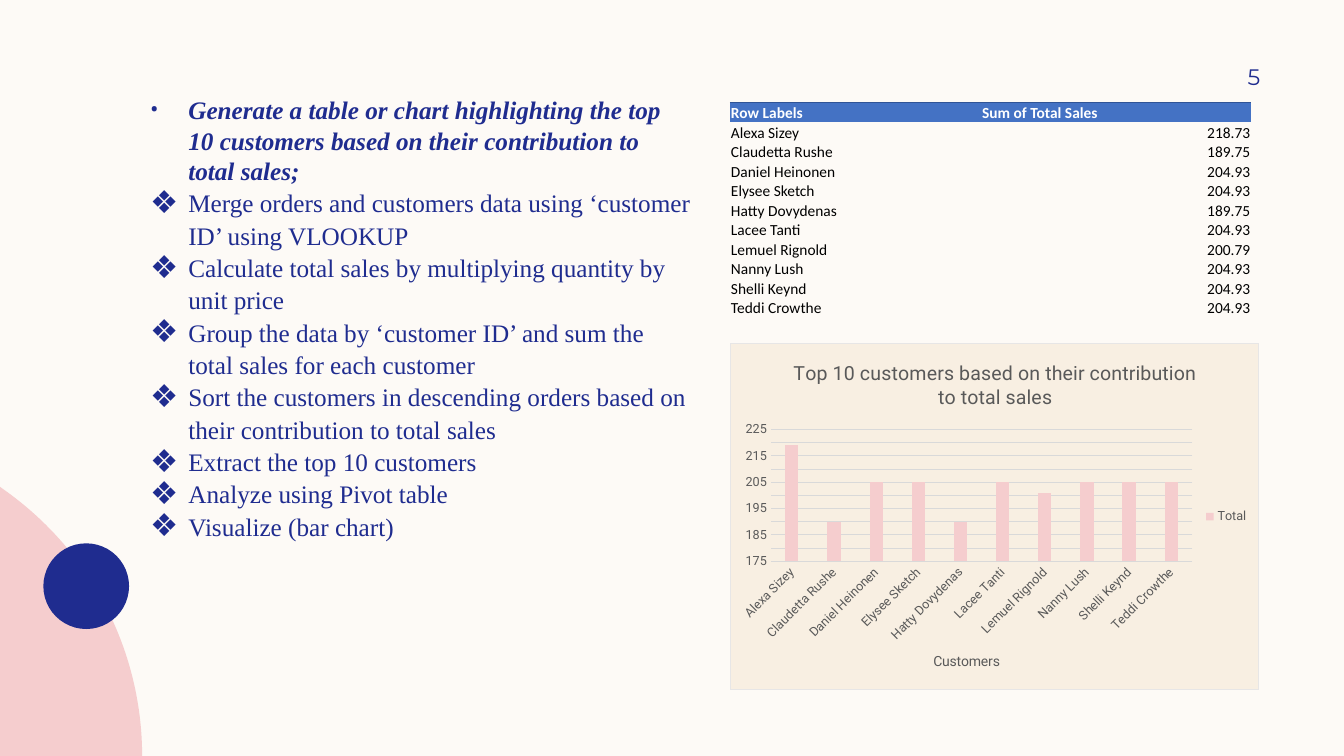
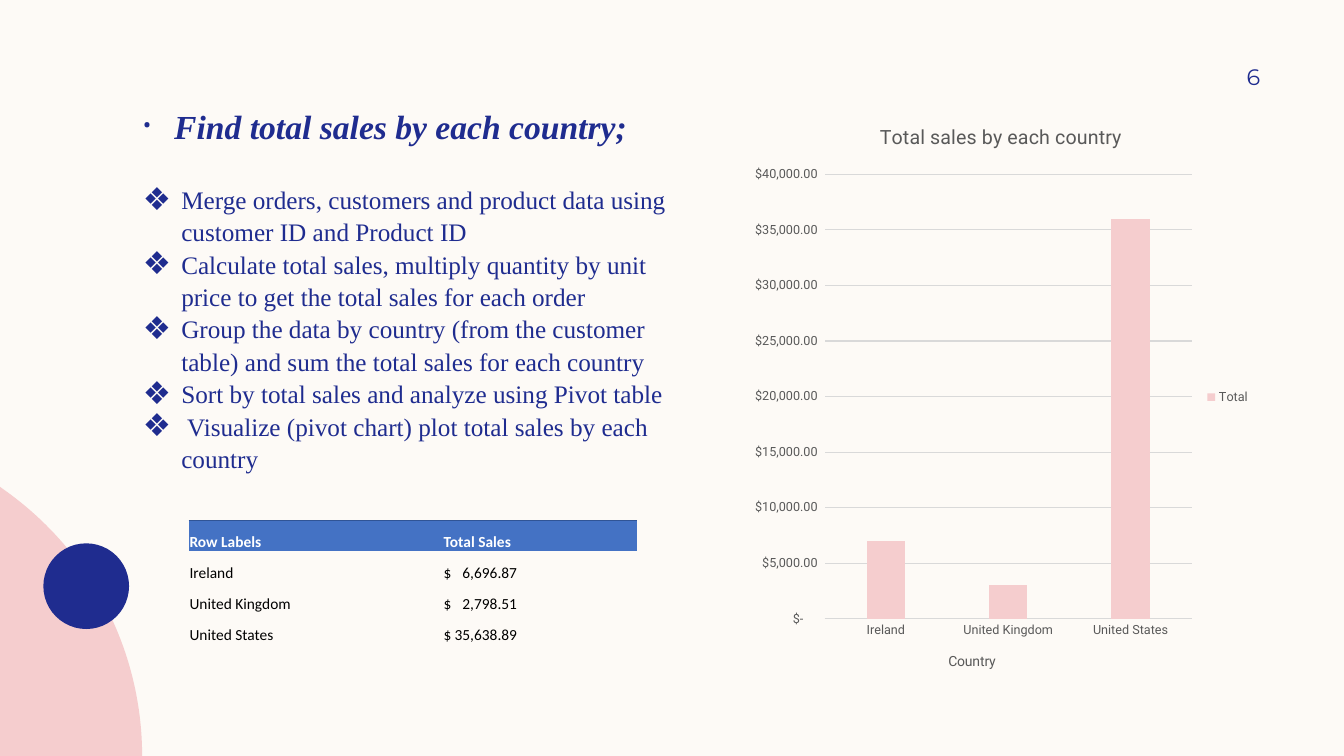
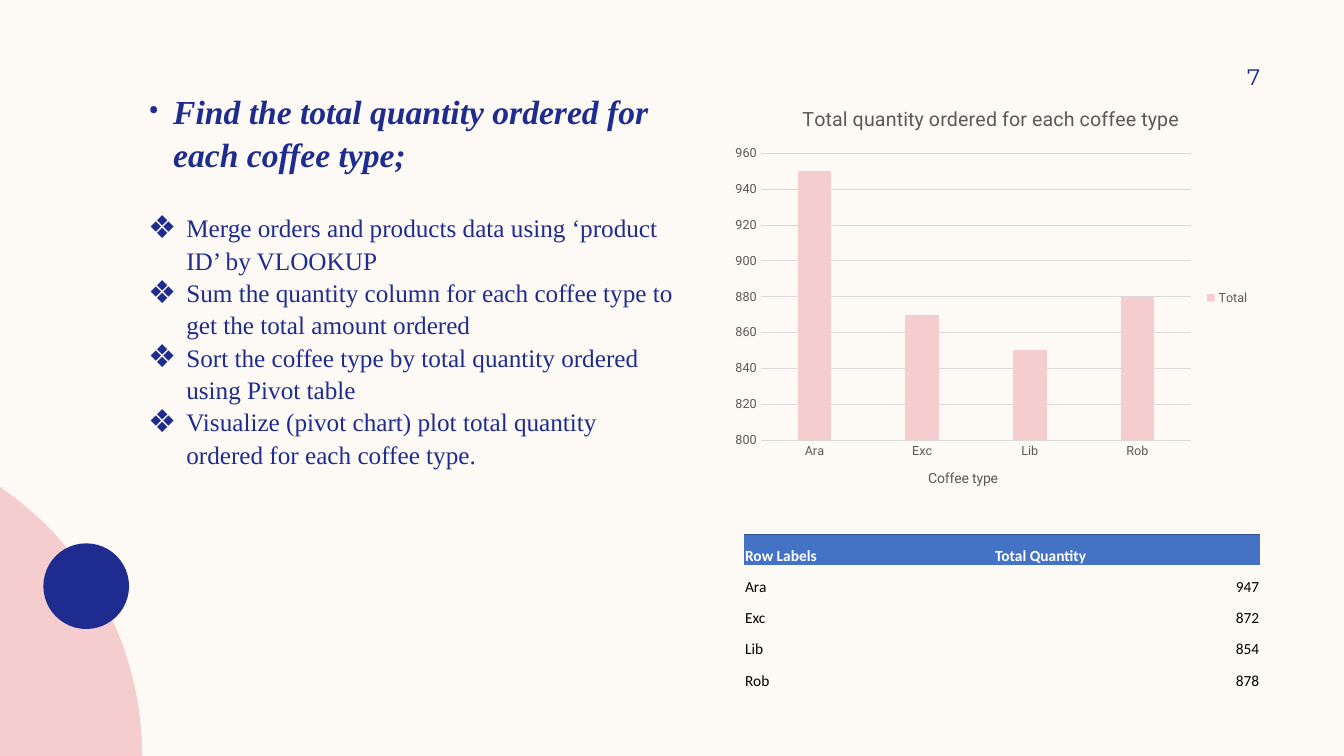
from math import asin, cos, sin

from lxml.etree import SubElement
from pptx import Presentation
from pptx.chart.data import CategoryChartData
from pptx.dml.color import RGBColor
from pptx.enum.chart import XL_CHART_TYPE, XL_LEGEND_POSITION, XL_TICK_MARK
from pptx.enum.shapes import MSO_SHAPE
from pptx.enum.text import MSO_ANCHOR, PP_ALIGN
from pptx.oxml.ns import qn
from pptx.util import Inches, Pt

HUES = {
    "cream": "FDFAF6", "sand": "F8EFE2", "edge": "E7E6E6", "pink": "F5CDCE",
    "navy": "1F2C8F", "grey": "595959", "grid": "D9D9D9", "head": "4472C4",
    "rule": "305496", "white": "FFFFFF", "black": "000000",
}
SERIF, SANS, CELL, PAGE = "Times New Roman", "Roboto", "Calibri", "Montserrat"
PLAIN_STYLE = "{2D5ABB26-0587-4C30-8999-92F81FD0307C}"
MONEY = '_("$"* #,##0.00_);_("$"* \\(#,##0.00\\);_("$"* "-"??_);_(@_)'


def hue(name):
    return RGBColor.from_string(HUES[name])


def sub(node, tag, **attrs):
    return SubElement(node, qn(tag), {k: str(v) for k, v in attrs.items()})


def style(font, face, size, color, bold=False, slant=False):
    font.name, font.size = face, Pt(size)
    font.bold, font.italic = bold, slant
    font.color.rgb = hue(color)


def pin(node, index, frame, spot):
    """Fix a chart part at a place on the slide, given in inches."""
    old = node.find(qn("c:layout"))
    if old is not None:
        node.remove(old)
    layout = sub(node, "c:layout")
    node.insert(index, layout)
    manual = sub(layout, "c:manualLayout")
    if len(spot) == 4:
        sub(manual, "c:layoutTarget", val="inner")
    left, top, wide, high = frame
    for axis in "xy":
        sub(manual, f"c:{axis}Mode", val="edge")
    parts = [(spot[0] - left) / wide, (spot[1] - top) / high]
    if len(spot) == 4:
        parts += [spot[2] / wide, spot[3] / high]
    for axis, part in zip("xywh", parts):
        sub(manual, f"c:{axis}", val=round(part, 4))


class Deck:
    def __init__(self):
        self.show = Presentation()
        self.show.slide_width = Inches(13.33)
        self.show.slide_height = Inches(7.5)
        self.slide = None

    def start(self, page):
        """Add a slide with background, corner shapes and page number."""
        self.slide = self.show.slides.add_slide(self.show.slide_layouts[6])
        fill = self.slide.background.fill
        fill.solid()
        fill.fore_color.rgb = hue("cream")
        self.corner()
        dot = self.slide.shapes.add_shape(
            MSO_SHAPE.OVAL, Inches(0.43), Inches(5.39), Inches(0.85), Inches(0.85))
        self.paint(dot, "navy")
        frame = self.box(11.42, 0.5, 1.08, 0.52, (0.1, 0.05, 0, 0.05))
        frame.vertical_anchor = MSO_ANCHOR.MIDDLE
        para = frame.paragraphs[0]
        para.text = page
        para.alignment = PP_ALIGN.RIGHT
        style(para.runs[0].font, PAGE, 16, "navy")

    def corner(self):
        """Draw the part of a large disc that shows at the lower left."""
        radius, center, steps = 3.23, -1.82, 48
        sweep = asin(2.67 / radius)
        turns = [sweep * (1 - i / steps) for i in range(steps + 1)]
        arc = [(max(0, center + radius * cos(t)), 7.5 - radius * sin(t)) for t in turns]
        form = self.slide.shapes.build_freeform(0, Inches(7.5))
        form.add_line_segments([(Inches(x), Inches(y)) for x, y in arc])
        self.paint(form.convert_to_shape(), "pink")

    def paint(self, shape, color):
        shape.shadow.inherit = False
        shape.fill.solid()
        shape.fill.fore_color.rgb = hue(color)
        shape.line.fill.background()

    def box(self, left, top, wide, high, pads):
        shape = self.slide.shapes.add_textbox(
            Inches(left), Inches(top), Inches(wide), Inches(high))
        frame = shape.text_frame
        frame.word_wrap = True
        (frame.margin_left, frame.margin_top,
         frame.margin_right, frame.margin_bottom) = map(Inches, pads)
        return frame

    def steps(self, spot, title, items, size=24, indent=0.25, gap=26, lead=1.07, dot=100):
        """Write a bold heading and its list of steps."""
        frame = self.box(*spot, (0.1, 0, 0.1, 0))
        for i, text in enumerate([title, *items]):
            first = i == 0
            para = frame.paragraphs[0] if first else frame.add_paragraph()
            para.text = text
            para.line_spacing = lead if first else 1.07
            para.space_after = Pt(gap if first else 0)
            style(para.runs[0].font, SERIF, size if first else 18, "navy", first, first)
            inset = Inches(indent if first else 0.38)
            props = para._p.get_or_add_pPr()
            props.set("marL", str(inset))
            props.set("indent", str(-inset))
            sub(props, "a:buSzPct", val=(dot if first else 125) * 1000)
            if first:
                sub(props, "a:buFont", typeface=SANS)
            sub(props, "a:buChar", char="•" if first else "❖")

    def table(self, left, top, cols, high, rows, align=PP_ALIGN.RIGHT, pad=0.01):
        shape = self.slide.shapes.add_table(
            len(rows), 2, Inches(left), Inches(top),
            Inches(sum(cols)), Inches(high * len(rows)))
        grid = shape.table
        grid._tbl.tblPr.find(qn("a:tableStyleId")).text = PLAIN_STYLE
        for col, wide in zip(grid.columns, cols):
            col.width = Inches(wide)
        for r, row in enumerate(rows):
            grid.rows[r].height = Inches(high)
            for c, text in enumerate(row):
                self.cell(grid.cell(r, c), text, r == 0, pad if c else 0.01)
                if r and c:
                    para = grid.cell(r, c).text_frame.paragraphs[0]
                    para.alignment = align
                    if "\t" in text:
                        tabs = sub(para._p.get_or_add_pPr(), "a:tabLst")
                        sub(tabs, "a:tab", pos=Inches(0.73), algn="r")

    def cell(self, cell, text, head, pad):
        cell.text_frame.text = text
        cell.vertical_anchor = MSO_ANCHOR.BOTTOM
        cell.margin_left = Inches(pad)
        cell.margin_top = cell.margin_right = Inches(0.01)
        cell.margin_bottom = 0
        for run in cell.text_frame.paragraphs[0].runs:
            style(run.font, CELL, 11, "white" if head else "black", head)
        if not head:
            cell.fill.background()
            return
        cell.fill.solid()
        cell.fill.fore_color.rgb = hue("head")
        props = cell._tc.get_or_add_tcPr()
        line = sub(props, "a:lnT", w=Pt(1))
        sub(sub(line, "a:solidFill"), "a:srgbClr", val=HUES["rule"])
        props.insert(0, line)

    def chart(self, spot, title, label, data, digits, scale, plot, places,
              form="General", back=None, tilt=False):
        """Draw rounded columns; places holds the corners of title and axis label."""
        source = CategoryChartData(number_format=form)
        source.categories = [name for name, _ in data]
        source.add_series("Total", [int(round(value, digits)) for _, value in data])
        chart = self.slide.shapes.add_chart(
            XL_CHART_TYPE.COLUMN_CLUSTERED, *map(Inches, spot), source).chart
        style(chart.font, SANS, 10, "black")
        chart.has_title = chart.has_legend = True
        chart.legend.position = XL_LEGEND_POSITION.RIGHT
        chart.legend.include_in_layout = False
        style(chart.legend.font, SANS, 9, "grey")

        bars = chart.plots[0]
        bars.gap_width, bars.overlap, bars.vary_by_categories = 219, -27, False
        fill = bars.series[0].format.fill
        fill.solid()
        fill.fore_color.rgb = hue("pink")

        cats, vals = chart.category_axis, chart.value_axis
        for axis in (cats, vals):
            axis.major_tick_mark = axis.minor_tick_mark = XL_TICK_MARK.NONE
            style(axis.tick_labels.font, SANS, 9, "grey")
        vals.minimum_scale, vals.maximum_scale, vals.major_unit = scale
        vals.tick_labels.number_format = form
        vals.tick_labels.number_format_is_linked = False
        vals.format.line.fill.background()
        for line in (cats.format.line, vals.major_gridlines.format.line):
            line.color.rgb, line.width = hue("grid"), Pt(0.75)
        if tilt:
            body = cats._element.find(qn("c:txPr")).find(qn("a:bodyPr"))
            body.set("rot", "-2700000")
            body.set("vert", "horz")

        cats.has_title = True
        heads = (chart.chart_title, title, 14), (cats.axis_title, label, 10)
        for (part, text, size), place in zip(heads, places):
            part.text_frame.text = text
            style(part.text_frame.paragraphs[0].runs[0].font, SANS, size, "grey")
            pin(part._element, 1, spot, place)
        space = chart._chartSpace
        pin(space.chart.plotArea, 0, spot, plot)
        if back:
            props = sub(space, "c:spPr")
            space.find(qn("c:txPr")).addprevious(props)
            inside, border = back
            sub(sub(props, "a:solidFill"), "a:srgbClr", val=HUES[inside])
            line = sub(props, "a:ln", w=Pt(0.75))
            sub(sub(line, "a:solidFill"), "a:srgbClr", val=HUES[border])


def buyers(deck):
    deck.start("5")
    deck.steps(
        (1.39, 0.94, 5.57, 5.91),
        "Generate a table or chart highlighting the top 10 customers based on "
        "their contribution to total sales;",
        ["Merge orders and customers data using ‘customer ID’ using VLOOKUP",
         "Calculate total sales by multiplying quantity by unit price",
         "Group the data by ‘customer ID’ and sum the total sales for each customer",
         "Sort the customers in descending orders based on their contribution to total sales",
         "Extract the top 10 customers",
         "Analyze using Pivot table",
         "Visualize (bar chart)"],
        size=18, indent=0.38, gap=0, lead=1.0)
    sales = [("Alexa Sizey", 218.73), ("Claudetta Rushe", 189.75),
             ("Daniel Heinonen", 204.93), ("Elysee Sketch", 204.93),
             ("Hatty Dovydenas", 189.75), ("Lacee Tanti", 204.93),
             ("Lemuel Rignold", 200.79), ("Nanny Lush", 204.93),
             ("Shelli Keynd", 204.93), ("Teddi Crowthe", 204.93)]
    deck.chart((7.24, 3.4, 5.25, 3.45),
               "Top 10 customers based on their contribution to total sales",
               "Customers", sales, 0, (175, 225, 5), (7.64, 4.26, 4.19, 1.31),
               [(7.83, 3.52), (9.23, 6.45)], back=("sand", "edge"), tilt=True)
    deck.table(7.24, 1.02, (2.49, 2.68), 0.19,
               [("Row Labels", "Sum of Total Sales")]
               + [(name, f"{value:.2f}") for name, value in sales])


def lands(deck):
    deck.start("6")
    deck.steps(
        (1.32, 1.02, 5.74, 5.7), "Find total sales by each country;",
        ["Merge orders, customers and product data using customer ID and Product ID",
         "Calculate total sales, multiply quantity by unit price to get the total "
         "sales for each order",
         "Group the data by country (from the customer table) and sum the total "
         "sales for each country",
         "Sort by total sales and analyze using Pivot table",
         " Visualize (pivot chart) plot total sales by each country"],
        indent=0.31, dot=75)
    sales = [("Ireland", 6696.87), ("United Kingdom", 2798.51),
             ("United States", 35638.89)]
    deck.chart((7.36, 1.02, 5.14, 5.84), "Total sales by each country", "Country",
               sales, -3, (0, 40000, 5000), (8.18, 1.73, 3.64, 4.41),
               [(8.69, 1.19), (9.38, 6.44)], form=MONEY)
    deck.table(1.87, 5.16, (2.49, 1.96), 0.31,
               [("Row Labels", "Total Sales")]
               + [(name, f"$\t{value:,.2f}") for name, value in sales],
               align=PP_ALIGN.LEFT, pad=0.04)


def kinds(deck):
    deck.start("7")
    deck.steps(
        (1.37, 0.87, 5.43, 5.98),
        "Find the total quantity ordered for each coffee type;",
        ["Merge orders and products data using ‘product ID’ by VLOOKUP",
         "Sum the quantity column for each coffee type to get the total amount ordered",
         "Sort the coffee type by total quantity ordered using Pivot table",
         "Visualize (pivot chart) plot total quantity ordered for each coffee type."])
    counts = [("Ara", 947), ("Exc", 872), ("Lib", 854), ("Rob", 878)]
    deck.chart((7.18, 0.87, 5.32, 4.17), "Total quantity ordered for each coffee type",
               "Coffee type", counts, -1, (800, 960, 20), (7.54, 1.52, 4.28, 2.85),
               [(7.92, 1), (9.18, 4.63)], back=("cream", "cream"))
    deck.table(7.38, 5.3, (2.48, 2.64), 0.31,
               [("Row Labels", "Total Quantity")]
               + [(name, str(value)) for name, value in counts])


def main():
    deck = Deck()
    for build in (buyers, lands, kinds):
        build(deck)
    deck.show.save("out.pptx")


if __name__ == "__main__":
    main()
